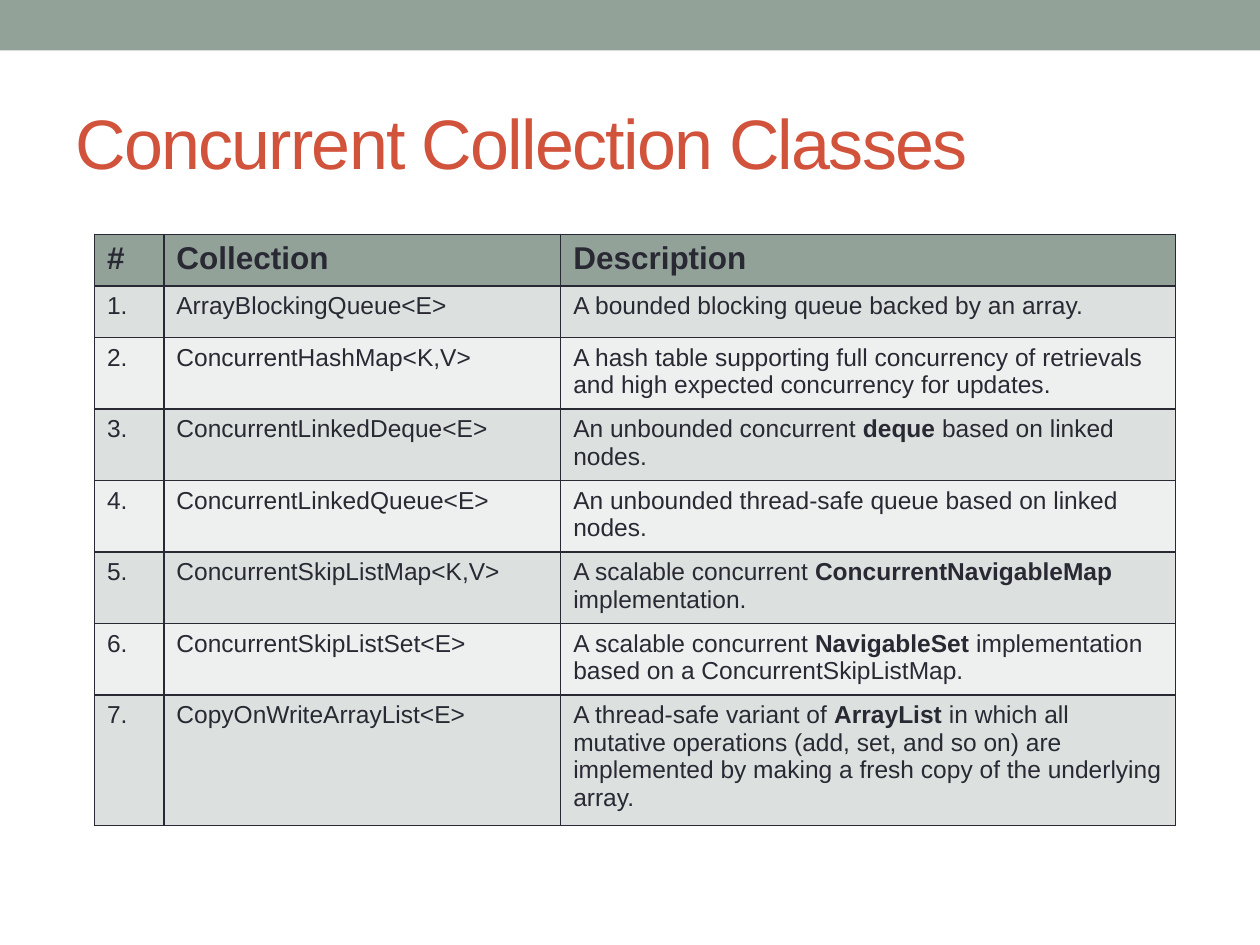
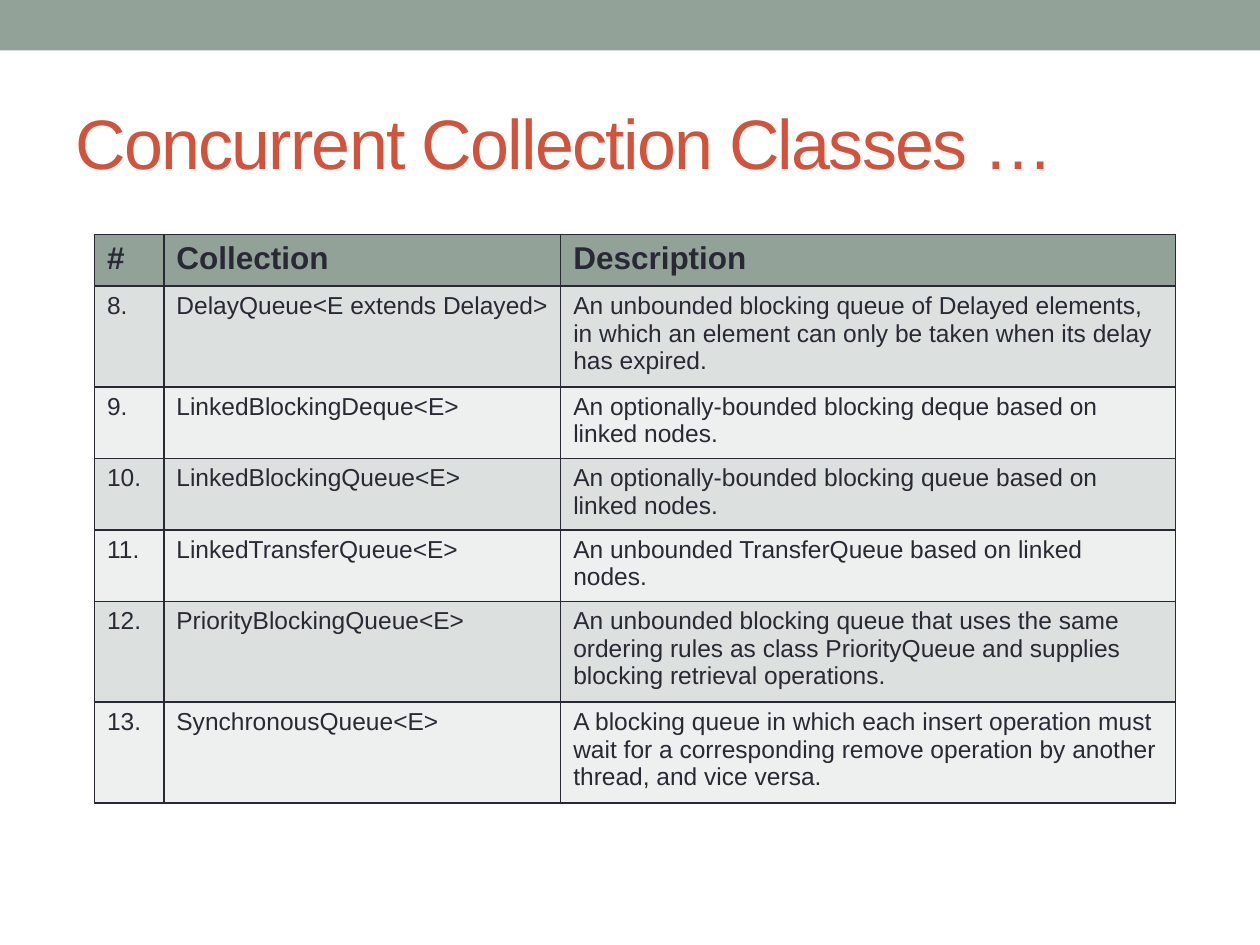
"""Build two slides of tables that describe the concurrent collection classes."""
from lxml import etree
from pptx import Presentation
from pptx import util as u
from pptx.dml.color import RGBColor
from pptx.enum import shapes, text
from pptx.oxml.ns import qn

COLORS = {
    "band": "93A299",
    "title": "D2533C",
    "ink": "292934",
    "odd": "DCE0DE",
    "even": "EEF0EF",
}
FONT = "Arial"
HEADER = ("#", "Collection", "Description")
COLUMN_WIDTHS = (0.55, 3.15, 4.88)
ROW_HEIGHT = 0.41
BOLD_MARK = "**"

SLIDES = [
    ("Concurrent Collection Classes", [
        ("ArrayBlockingQueue<E>", "A bounded blocking queue backed by an array."),
        ("ConcurrentHashMap<K,V>",
         "A hash table supporting full concurrency of retrievals "
         "and high expected concurrency for updates."),
        ("ConcurrentLinkedDeque<E>",
         "An unbounded concurrent **deque** based on linked nodes."),
        ("ConcurrentLinkedQueue<E>",
         "An unbounded thread-safe queue based on linked nodes."),
        ("ConcurrentSkipListMap<K,V>",
         "A scalable concurrent **ConcurrentNavigableMap **implementation."),
        ("ConcurrentSkipListSet<E>",
         "A scalable concurrent **NavigableSet** implementation "
         "based on a ConcurrentSkipListMap."),
        ("CopyOnWriteArrayList<E>",
         "A thread-safe variant of **ArrayList** in which all mutative operations "
         "(add, set, and so on) are implemented by making a fresh copy "
         "of the underlying array."),
    ]),
    ("Concurrent Collection Classes …", [
        ("DelayQueue<E extends Delayed>",
         "An unbounded blocking queue of Delayed elements, in which an element "
         "can only be taken when its delay has expired."),
        ("LinkedBlockingDeque<E>",
         "An optionally-bounded blocking deque based on linked nodes."),
        ("LinkedBlockingQueue<E>",
         "An optionally-bounded blocking queue based on linked nodes."),
        ("LinkedTransferQueue<E>",
         "An unbounded TransferQueue based on linked nodes."),
        ("PriorityBlockingQueue<E>",
         "An unbounded blocking queue that uses the same ordering rules "
         "as class PriorityQueue and supplies blocking retrieval operations."),
        ("SynchronousQueue<E>",
         "A blocking queue in which each insert operation must wait for "
         "a corresponding remove operation by another thread, and vice versa."),
    ]),
]


def color(name):
    return RGBColor.from_string(COLORS[name])


def style(font, size, color_name):
    font.name = FONT
    font.size = u.Pt(size)
    font.color.rgb = color(color_name)


def add_band(slide):
    band = slide.shapes.add_shape(
        shapes.MSO_SHAPE.RECTANGLE, 0, 0, u.Inches(10), u.Inches(0.4))
    band.shadow.inherit = False
    band.fill.solid()
    band.fill.fore_color.rgb = color("band")
    band.line.fill.background()


def add_title(slide, title):
    box = slide.shapes.add_textbox(
        u.Inches(0.5), u.Inches(0.58), u.Inches(9), u.Inches(1.08))
    frame = box.text_frame
    frame.word_wrap = True
    frame.vertical_anchor = text.MSO_ANCHOR.MIDDLE
    paragraph = frame.paragraphs[0]
    run = paragraph.add_run()
    run.text = title
    style(run.font, 40, "title")
    run.font._element.set("spc", "-100")


def add_borders(cell):
    properties = cell._tc.get_or_add_tcPr()
    for side in ("lnL", "lnR", "lnT", "lnB"):
        line = etree.SubElement(properties, qn(f"a:{side}"), w=str(u.Pt(1)))
        fill = etree.SubElement(line, qn("a:solidFill"))
        etree.SubElement(fill, qn("a:srgbClr"), val=COLORS["ink"])


def fill_cell(cell, content, fill_name, size, bold):
    add_borders(cell)
    cell.fill.solid()
    cell.fill.fore_color.rgb = color(fill_name)
    paragraph = cell.text_frame.paragraphs[0]
    style(paragraph.font, size, "ink")
    for index, part in enumerate(content.split(BOLD_MARK)):
        run = paragraph.add_run()
        run.text = part
        style(run.font, size, "ink")
        run.font.bold = bold or index % 2 == 1


def add_class_table(slide, rows):
    table = slide.shapes.add_table(
        len(rows), len(HEADER), u.Inches(0.75), u.Inches(1.86),
        u.Inches(sum(COLUMN_WIDTHS)), u.Inches(ROW_HEIGHT * len(rows))).table
    for column, width in zip(table.columns, COLUMN_WIDTHS):
        column.width = u.Inches(width)
    for index, row in enumerate(rows):
        table.rows[index].height = u.Inches(ROW_HEIGHT)
        is_header = index == 0
        fill_name = "band" if is_header else ("even", "odd")[index % 2]
        for cell, content in zip(table.rows[index].cells, row):
            fill_cell(cell, content, fill_name, 18 if is_header else 14, is_header)


presentation = Presentation()
presentation.slide_width = u.Inches(10)
presentation.slide_height = u.Inches(7.5)
number = 1
for title, classes in SLIDES:
    slide = presentation.slides.add_slide(presentation.slide_layouts[6])
    add_band(slide)
    add_title(slide, title)
    numbered = [(f"{position}.", *entry)
                for position, entry in enumerate(classes, number)]
    add_class_table(slide, [HEADER, *numbered])
    number += len(classes)
presentation.save("out.pptx")
